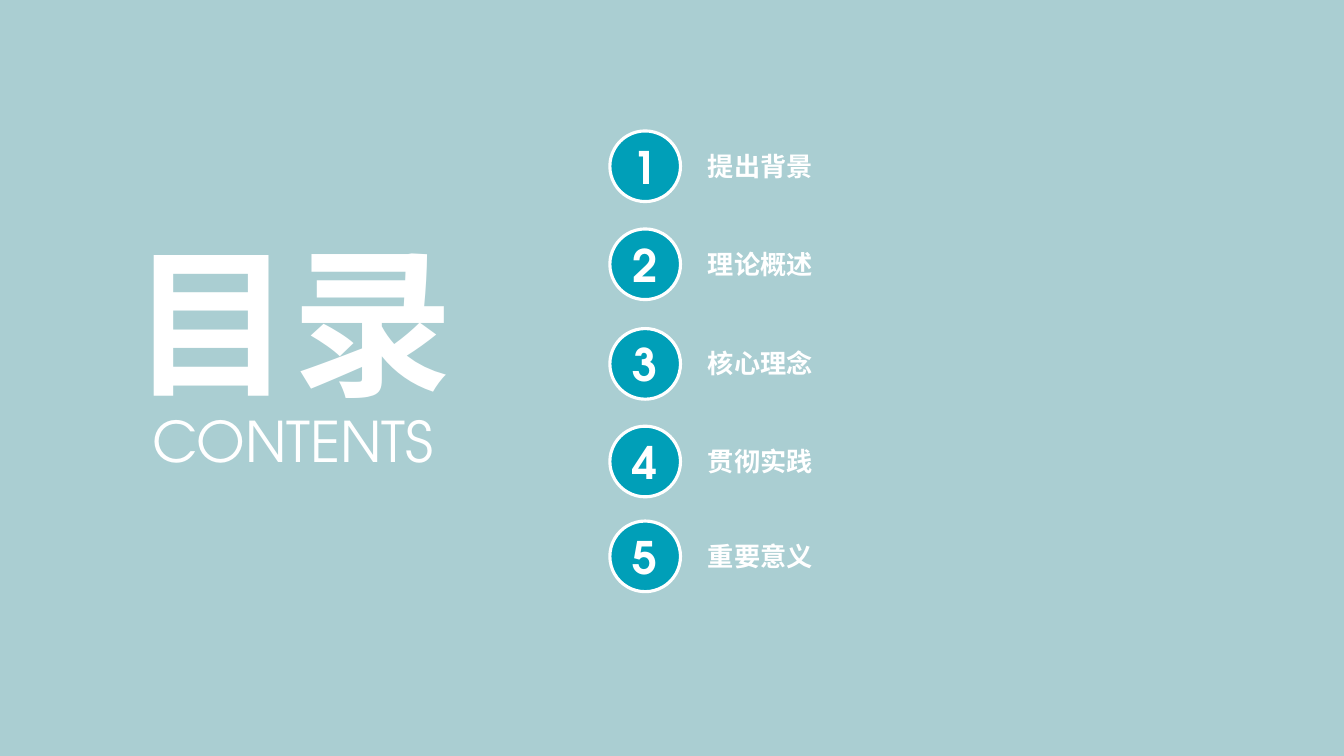
from dataclasses import dataclass

from lxml import etree
from pptx import Presentation
from pptx.dml.color import RGBColor
from pptx.enum.shapes import MSO_SHAPE
from pptx.enum.text import MSO_ANCHOR, MSO_AUTO_SIZE, PP_ALIGN
from pptx.oxml.ns import qn
from pptx.util import Cm, Pt

OVAL = MSO_SHAPE.OVAL
TOP, MIDDLE = MSO_ANCHOR.TOP, MSO_ANCHOR.MIDDLE
GROW = MSO_AUTO_SIZE.SHAPE_TO_FIT_TEXT
LEFT, CENTER = PP_ALIGN.LEFT, PP_ALIGN.CENTER
TITLE_ONLY = 5


@dataclass(frozen=True)
class Theme:
    background: RGBColor = RGBColor(0xAA, 0xCE, 0xD2)
    badge: RGBColor = RGBColor(0x00, 0x9F, 0xB8)
    white: RGBColor = RGBColor(0xFF, 0xFF, 0xFF)
    latin_font: str = "TeX Gyre Adventor"
    chinese_font: str = "Noto Sans CJK SC"
    title_size: float = 115
    subtitle_size: float = 40
    number_size: float = 32
    topic_size: float = 18.7
    outline_width: float = 2.25


class ContentsSlide:
    def __init__(self, presentation, theme):
        self.theme = theme
        self.slide = presentation.slides.add_slide(presentation.slide_layouts[TITLE_ONLY])
        background = self.slide.background.fill
        background.solid()
        background.fore_color.rgb = theme.background

    def add_text(self, shape, text, size, font, bold, alignment, anchor):
        frame = shape.text_frame
        frame.vertical_anchor = anchor
        paragraph = frame.paragraphs[0]
        paragraph.alignment = alignment
        run = paragraph.add_run()
        run.text = text
        run.font.name = font
        run.font.size = Pt(size)
        run.font.bold = bold
        run.font.color.rgb = self.theme.white
        # Chinese characters take their own typeface
        properties = run._r.get_or_add_rPr()
        east_asian = etree.SubElement(properties, qn("a:ea"))
        east_asian.set("typeface", self.theme.chinese_font)

    def fit_to_text(self, shape):
        shape.text_frame.word_wrap = False
        shape.text_frame.auto_size = GROW

    def title(self, text, left, top, width, height):
        shape = self.slide.shapes.title
        shape.left, shape.top = Cm(left), Cm(top)
        shape.width, shape.height = Cm(width), Cm(height)
        self.fit_to_text(shape)
        self.add_text(shape, text, self.theme.title_size, self.theme.chinese_font,
                      True, CENTER, TOP)

    def label(self, text, left, top, width, height, size, bold=False, alignment=LEFT):
        shape = self.slide.shapes.add_textbox(Cm(left), Cm(top), Cm(width), Cm(height))
        self.fit_to_text(shape)
        self.add_text(shape, text, size, self.theme.latin_font, bold, alignment, TOP)

    def badge(self, number, left, top, diameter):
        shape = self.slide.shapes.add_shape(
            OVAL, Cm(left), Cm(top), Cm(diameter), Cm(diameter))
        shape.shadow.inherit = False
        shape.fill.solid()
        shape.fill.fore_color.rgb = self.theme.badge
        shape.line.color.rgb = self.theme.white
        shape.line.width = Pt(self.theme.outline_width)
        self.add_text(shape, str(number), self.theme.number_size, self.theme.latin_font,
                      True, CENTER, MIDDLE)


def main():
    presentation = Presentation()
    presentation.slide_width, presentation.slide_height = Cm(33.87), Cm(19.05)
    theme = Theme()
    contents = ContentsSlide(presentation, theme)

    # Heading
    contents.title("目录", 3.02, 5.49, 8.71, 5.18)
    contents.label("CONTENTS", 3.53, 10.11, 7.7, 1.96, theme.subtitle_size,
                   alignment=CENTER)

    # Numbered topics, each with the top of its badge
    topics = [
        ("提出背景", 3.3),
        ("理论概述", 5.77),
        ("核心理念", 8.28),
        ("贯彻实践", 10.74),
        ("重要意义", 13.13),
    ]
    for number, (topic, top) in enumerate(topics, start=1):
        contents.badge(number, 15.37, top, 1.78)
        contents.label(topic, 17.59, top + 0.36, 3.18, 1.07, theme.topic_size, bold=True)

    presentation.save("out.pptx")


if __name__ == "__main__":
    main()
